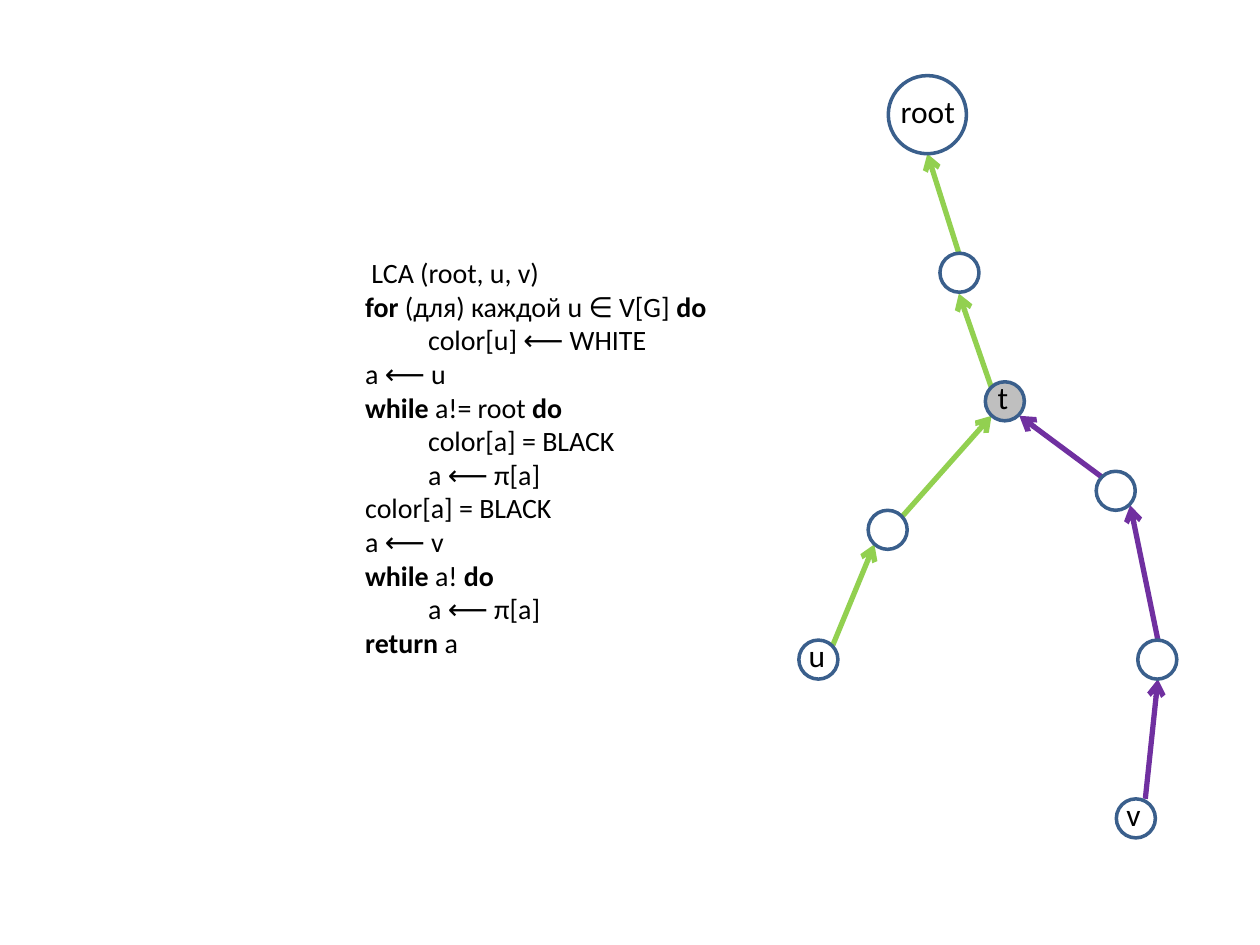
import dataclasses

import lxml.etree
import pptx
import pptx.dml.color
import pptx.enum.shapes
import pptx.enum.text
import pptx.oxml.ns
import pptx.util

Inches = pptx.util.Inches
Pt = pptx.util.Pt
qn = pptx.oxml.ns.qn

COLORS = {
    "text": "000000",
    "node": "FFFFFF",
    "shared": "BFBFBF",
    "ring": "3A5F8C",
    "green": "92D050",
    "purple": "7030A0",
}
SMALL = 0.31
LARGE = 0.62

# Asterisks enclose the bold keywords.
CODE = [
    " LCA (root, u, v)",
    "*for* (для) каждой u ∈ V[G] *do*",
    "\tcolor[u] ⟵ WHITE",
    "a ⟵ u",
    "*while* a!= root *do*",
    "\tcolor[a] = BLACK",
    "\ta ⟵ π[a]",
    "color[a] = BLACK",
    "a ⟵ v",
    "*while* a! *do*",
    "\ta ⟵ π[a]",
    "*return* a",
]


@dataclasses.dataclass
class Edge:
    tip: tuple[float, float]
    end: tuple[float, float]
    color: str


@dataclasses.dataclass
class Node:
    left: float
    top: float
    size: float = SMALL
    fill: str = "node"


@dataclasses.dataclass
class Label:
    text: str
    left: float
    top: float
    width: float


EDGES = [
    Edge((7.87, 3.3), (7.16, 4.1), "green"),
    Edge((6.94, 4.32), (6.61, 5.12), "green"),
    Edge((8.09, 3.3), (8.75, 3.79), "purple"),
    Edge((8.97, 4.01), (9.19, 5.08), "purple"),
    Edge((9.19, 5.39), (9.09, 6.34), "purple"),
    Edge((7.61, 2.33), (7.87, 3.08), "green"),
    Edge((7.36, 1.22), (7.61, 2.01), "green"),
]
NODES = [
    Node(7.82, 3.03, fill="shared"),
    Node(6.89, 4.05),
    Node(6.34, 5.08),
    Node(8.7, 3.74),
    Node(7.46, 2.01),
    Node(9.03, 5.08),
    Node(8.86, 6.34),
    Node(7.05, 0.6, LARGE),
]
LABELS = [
    Label("t", 7.82, 2.95, 0.29),
    Label("u", 6.32, 5, 0.34),
    Label("v", 8.84, 6.26, 0.32),
    Label("root", 7.05, 0.68, 0.64),
]


def rgb(name: str) -> pptx.dml.color.RGBColor:
    return pptx.dml.color.RGBColor.from_string(COLORS[name])


def style(font, size: int, bold: bool = False) -> None:
    form = {"name": "Calibri", "size": Pt(size), "bold": bold}
    for key, value in form.items():
        setattr(font, key, value)
    font.color.rgb = rgb("text")


def draw_edge(shapes, edge: Edge) -> None:
    """Draw a line whose arrowhead sits at its tip, the parent node."""
    line = shapes.add_connector(
        pptx.enum.shapes.MSO_CONNECTOR.STRAIGHT,
        *map(Inches, edge.tip + edge.end),
    )
    line.line.color.rgb = rgb(edge.color)
    line.line.width = Pt(3)
    head = lxml.etree.SubElement(line.line._get_or_add_ln(), qn("a:headEnd"))
    head.set("type", "arrow")
    lxml.etree.SubElement(line._element.spPr, qn("a:effectLst"))


def draw_node(shapes, node: Node) -> None:
    ring = shapes.add_shape(
        pptx.enum.shapes.MSO_SHAPE.OVAL,
        *map(Inches, (node.left, node.top, node.size, node.size)),
    )
    ring.shadow.inherit = False
    ring.fill.solid()
    ring.fill.fore_color.rgb = rgb(node.fill)
    ring.line.color.rgb = rgb("ring")
    ring.line.width = Pt(2)


def draw_label(shapes, label: Label) -> None:
    box = shapes.add_textbox(
        *map(Inches, (label.left, label.top, label.width, 0.4))
    )
    box.text_frame.word_wrap = False
    box.text_frame.auto_size = pptx.enum.text.MSO_AUTO_SIZE.SHAPE_TO_FIT_TEXT
    run = box.text_frame.paragraphs[0].add_run()
    run.text = label.text
    style(run.font, 18)


def draw_code(shapes, lines: list[str]) -> None:
    box = shapes.add_textbox(*map(Inches, (2.8, 0.36, 6.45, 6.54)))
    frame = box.text_frame
    frame.word_wrap = True
    frame.vertical_anchor = pptx.enum.text.MSO_ANCHOR.MIDDLE
    para = frame.paragraphs[0]
    style(para.font, 16)
    for row, line in enumerate(lines):
        if row:
            para.add_line_break()
        for part, text in enumerate(line.split("*")):
            if text:
                run = para.add_run()
                run.text = text
                style(run.font, 16, bold=part % 2 == 1)


def main() -> None:
    deck = pptx.Presentation()
    deck.slide_width = Inches(10)
    deck.slide_height = Inches(7.5)
    shapes = deck.slides.add_slide(deck.slide_layouts[6]).shapes
    draw_code(shapes, CODE)
    for edge in EDGES:
        draw_edge(shapes, edge)
    for node in NODES:
        draw_node(shapes, node)
    for label in LABELS:
        draw_label(shapes, label)
    deck.save("out.pptx")


if __name__ == "__main__":
    main()
